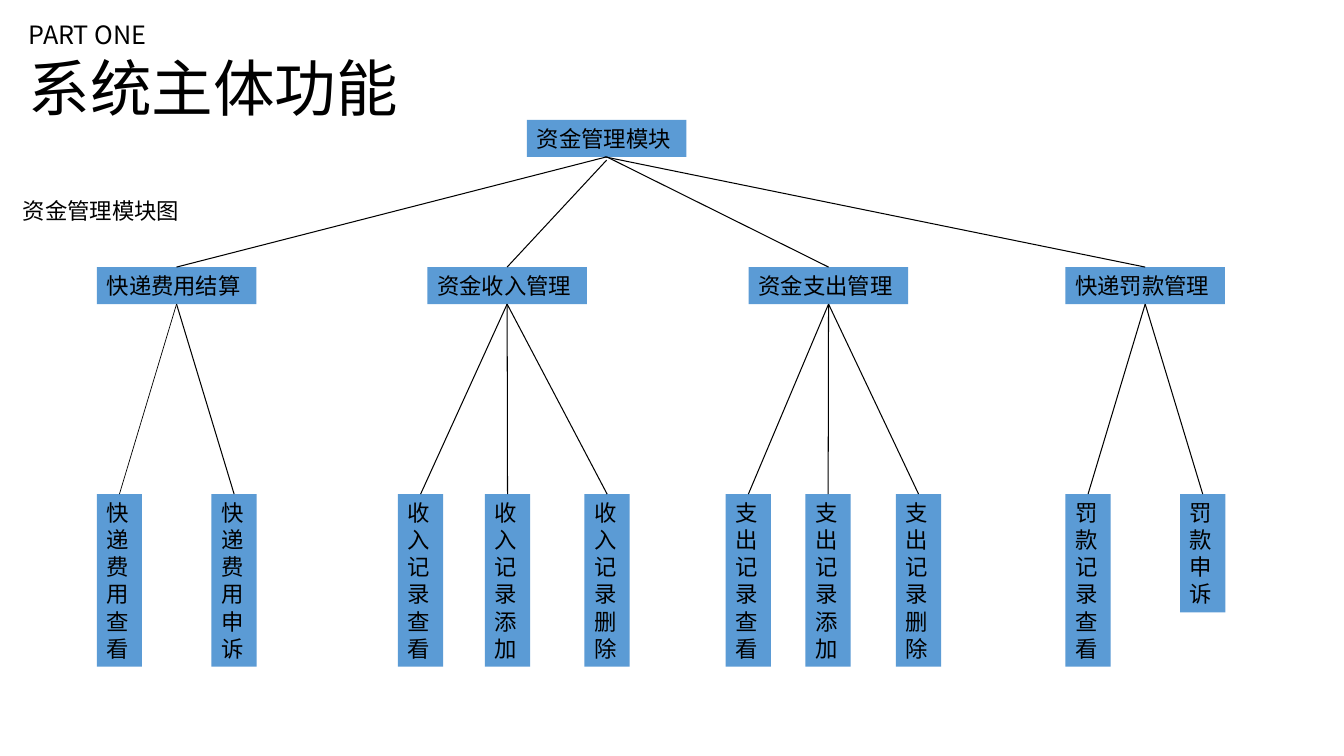
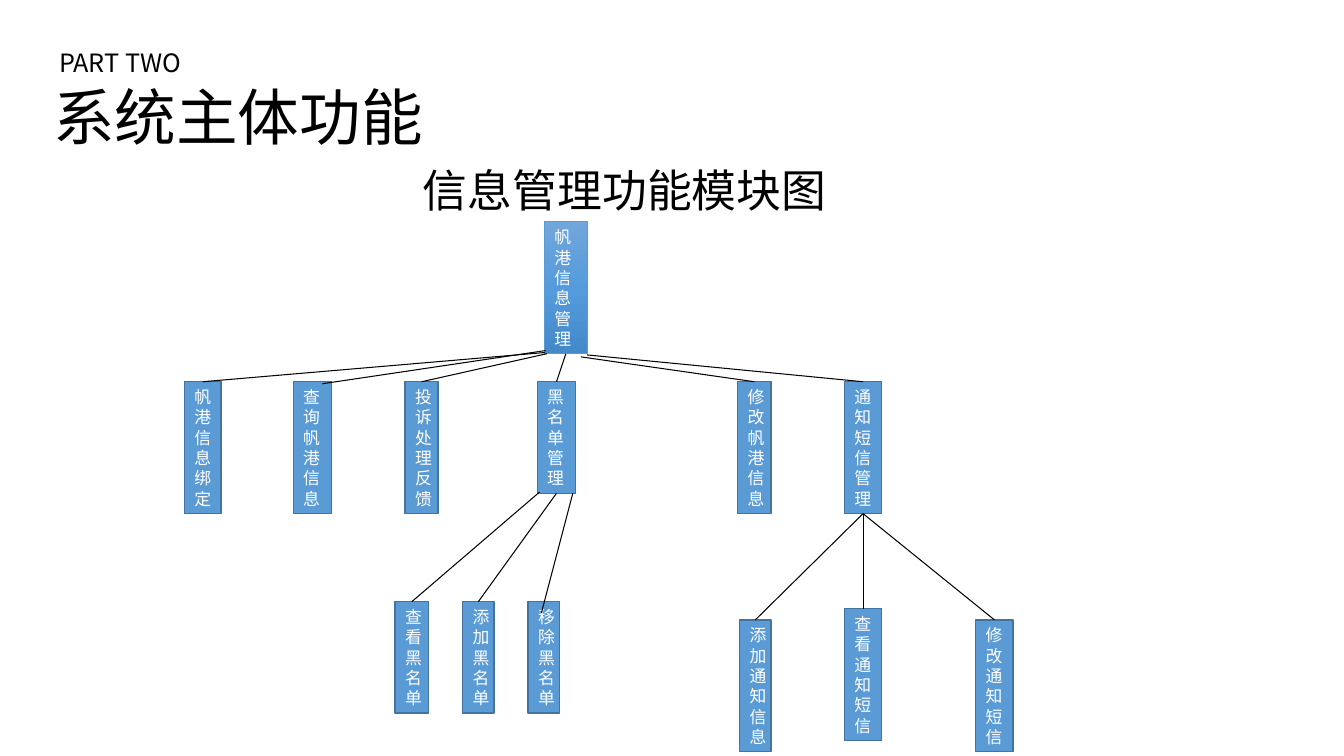
from copy import deepcopy
from dataclasses import dataclass

from lxml import etree
from pptx import Presentation
from pptx import util as u
from pptx.dml.color import RGBColor
from pptx.enum import shapes, text
from pptx.oxml.ns import qn

# Shared look
BLACK = RGBColor(0x00, 0x00, 0x00)
WHITE = RGBColor(0xFF, 0xFF, 0xFF)
BLUE = RGBColor(0x5B, 0x9B, 0xD5)
BLUE_EDGE = RGBColor(0x43, 0x73, 0x9E)
GRADIENT = (
    (0, RGBColor(0x71, 0xA6, 0xDB)),
    (0.5, RGBColor(0x55, 0x9B, 0xDB)),
    (1, RGBColor(0x44, 0x8A, 0xCA)),
)
CJK_FONT = "Noto Sans CJK SC"
LATIN_FONT = "Arial"
LINE_HEIGHT = 1.21
INSET = 0.25
PT_PER_CM = 72 / 2.54


@dataclass(frozen=True)
class Style:
    size: int
    font: str
    color: RGBColor
    edge: RGBColor | None = None


@dataclass(frozen=True)
class Node:
    """A box in cm; its link may be shifted from the usual anchor points."""
    label: str
    left: float
    top: float
    width: float
    children: tuple["Node", ...] = ()
    start: tuple[float, float] = (0, 0)
    end: tuple[float, float] = (0, 0)
    link_pt: float = 0.75
    shaded: bool = False

    @property
    def center(self) -> float:
        return self.left + self.width / 2

    def height(self, size: int) -> float:
        lines = 1 if self.width > 2 else len(self.label)
        return lines * size * LINE_HEIGHT / PT_PER_CM + INSET


MODULE_STYLE = Style(16, LATIN_FONT, BLACK)
INFO_STYLE = Style(12, CJK_FONT, WHITE, BLUE_EDGE)


# Text
def write(para, content: str, *, size: int, font: str = CJK_FONT,
          color: RGBColor = BLACK, indent: float = 0, before: float = 0) -> None:
    para.alignment = text.PP_ALIGN.LEFT
    para.line_spacing = u.Pt(size * LINE_HEIGHT)
    para.space_before = u.Pt(before)
    if indent:
        para._p.get_or_add_pPr().set("marL", str(u.Cm(indent)))
    span = para.add_run()
    span.text = content
    span.font.size = u.Pt(size)
    span.font.name = font
    span.font.color.rgb = color
    east_asian = etree.SubElement(span._r.get_or_add_rPr(), qn("a:ea"))
    east_asian.set("typeface", CJK_FONT)


def add_text_box(page, left: float, top: float, width: float, height: float):
    box = page.shapes.add_textbox(*map(u.Cm, (left, top, width, height)))
    box.text_frame.word_wrap = True
    return box.text_frame


def add_title(page, left: float, top: float, part: str,
              indents: tuple[float, float]):
    frame = add_text_box(page, left, top, 10.4, 2.9)
    write(frame.paragraphs[0], part, size=18, indent=indents[0])
    write(frame.add_paragraph(), "系统主体功能", size=44, indent=indents[1])
    return frame


# Tree
def shade(box) -> None:
    box.fill.gradient()
    box.fill.gradient_angle = 270
    stops = box._element.spPr.find(qn("a:gradFill")).find(qn("a:gsLst"))
    stops.append(deepcopy(stops[-1]))
    for stop, (position, color) in zip(box.fill.gradient_stops, GRADIENT):
        stop.position = position
        stop.color.rgb = color


def add_node(page, node: Node, style: Style) -> None:
    box = page.shapes.add_shape(
        shapes.MSO_SHAPE.RECTANGLE, u.Cm(node.left), u.Cm(node.top),
        u.Cm(node.width), u.Cm(node.height(style.size)))
    box.shadow.inherit = False
    if node.shaded:
        shade(box)
    else:
        box.fill.solid()
        box.fill.fore_color.rgb = BLUE
    if style.edge is None:
        box.line.fill.background()
    else:
        box.line.color.rgb = BLUE if node.shaded else style.edge
        box.line.width = u.Pt(0.5 if node.shaded else 1)
    frame = box.text_frame
    frame.word_wrap = True
    frame.vertical_anchor = text.MSO_ANCHOR.TOP
    write(frame.paragraphs[0], node.label, size=style.size, font=style.font,
          color=style.color)
    for child in node.children:
        add_node(page, child, style)


def add_links(page, parent: Node, style: Style) -> None:
    bottom = parent.top + parent.height(style.size)
    for child in parent.children:
        line = page.shapes.add_connector(
            shapes.MSO_CONNECTOR.STRAIGHT,
            u.Cm(parent.center + child.start[0]), u.Cm(bottom + child.start[1]),
            u.Cm(child.center + child.end[0]), u.Cm(child.top + child.end[1]))
        line.line.color.rgb = BLACK
        line.line.width = u.Pt(child.link_pt)
        etree.SubElement(line._element.spPr, qn("a:effectLst"))
        add_links(page, child, style)


def add_tree(page, root: Node, style: Style) -> None:
    add_node(page, root, style)
    add_links(page, root, style)


# Funds module: three levels on fixed rows
def branch(label: str, left: float, *leaves: Node,
           start: tuple[float, float] = (0, 0)) -> Node:
    return Node(label, left, 6.73, 4.02, leaves, start)


def leaf(label: str, left: float, link_pt: float = 0.75) -> Node:
    return Node(label, left, 12.45, 1.14, link_pt=link_pt)


FUNDS_TREE = Node("资金管理模块", 13.28, 3.02, 4.02, (
    branch("快递费用结算", 2.44,
           leaf("快递费用查看", 2.44, 0.5), leaf("快递费用申诉", 5.33)),
    branch("资金收入管理", 10.77,
           leaf("收入记录查看", 10.03), leaf("收入记录添加", 12.22),
           leaf("收入记录删除", 14.73), start=(0, 0.08)),
    branch("资金支出管理", 18.87,
           leaf("支出记录查看", 18.29), leaf("支出记录添加", 20.3),
           leaf("支出记录删除", 22.58)),
    branch("快递罚款管理", 26.85,
           leaf("罚款记录查看", 26.85), leaf("罚款申诉", 29.74),
           start=(-0.05, 0)),
))

# Information module
INFO_ROW = 9.62
BLACKLIST_ROW = 15.16
BLACKLIST = (
    Node("查看黑名单", 9.96, BLACKLIST_ROW, 0.84, start=(-0.43, -0.03)),
    Node("添加黑名单", 11.66, BLACKLIST_ROW, 0.79),
    Node("移除黑名单", 13.31, BLACKLIST_ROW, 0.79, start=(0.41, 0),
         end=(-0.06, 0.28)),
)
NOTICES = (
    Node("添加通知信息", 18.64, 15.62, 0.79),
    Node("查看通知短信", 21.28, 15.34, 0.94),
    Node("修改通知短信", 24.59, 15.62, 0.94),
)
INFO_TREE = Node("帆港信息管理", 13.72, 5.59, 1.08, (
    Node("帆港信息绑定", 4.65, INFO_ROW, 0.92, start=(-0.53, -0.03)),
    Node("查询帆港信息", 7.39, INFO_ROW, 0.97, start=(-0.51, -0.08),
         end=(0.25, 0.05)),
    Node("投诉处理反馈", 10.21, INFO_ROW, 0.83, start=(-0.48, 0)),
    Node("黑名单管理", 13.54, INFO_ROW, 0.97, BLACKLIST),
    Node("修改帆港信息", 18.59, INFO_ROW, 0.84, start=(0.38, 0.08)),
    Node("通知短信管理", 21.28, INFO_ROW, 0.94, NOTICES, start=(0.53, 0.03)),
), shaded=True)


# Slides
def add_page(deck):
    return deck.slides.add_slide(deck.slide_layouts[6])


def build_funds(deck) -> None:
    page = add_page(deck)
    frame = add_title(page, 0.33, 0.36, "PART ONE", (0.14, 0.14))
    write(frame.add_paragraph(), "资金管理模块图", size=16, before=52)
    add_tree(page, FUNDS_TREE, MODULE_STYLE)


def build_info(deck) -> None:
    page = add_page(deck)
    add_title(page, 0.81, 1.07, "PART TWO", (0.43, 0.28))
    caption = add_text_box(page, 10.41, 3.96, 13, 1.63)
    write(caption.paragraphs[0], "信息管理功能模块图", size=32, font=LATIN_FONT)
    add_tree(page, INFO_TREE, INFO_STYLE)


def main() -> None:
    deck = Presentation()
    deck.slide_width = u.Cm(33.87)
    deck.slide_height = u.Cm(19.05)
    build_funds(deck)
    build_info(deck)
    deck.save("out.pptx")


if __name__ == "__main__":
    main()
